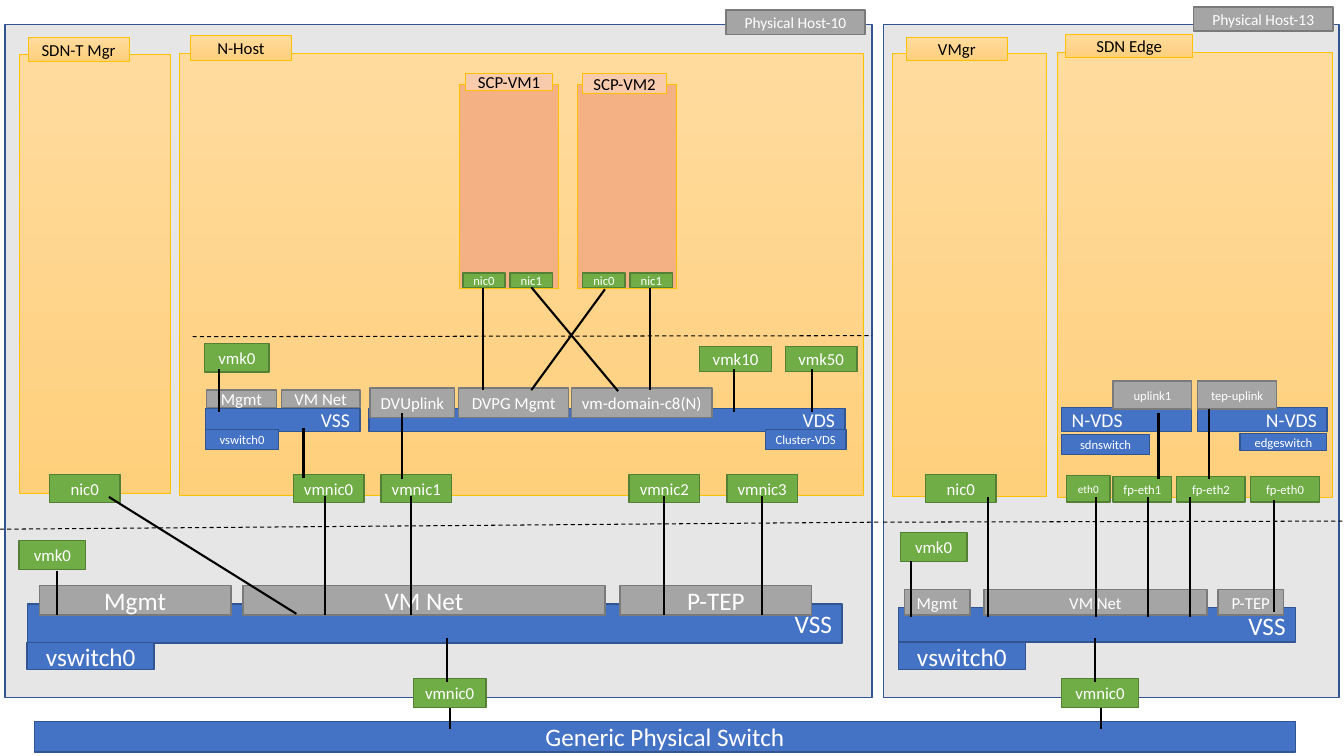
import pptx
import pptx.dml.color
import pptx.enum.dml
import pptx.enum.shapes
import pptx.enum.text
import pptx.oxml.ns
import pptx.util
from lxml import etree

WIDTH, HEIGHT = pptx.util.Inches(13.33), pptx.util.Inches(7.5)
COLUMN, ROW = WIDTH / 133.3, HEIGHT / 75  # fine grid of 133.3 columns by 75 rows

COLORS = {
    "switch": "4472C4", "switch_edge": "325491",
    "host": "E7E6E6",
    "port": "70AD47", "port_edge": "538035",
    "group": "A5A5A5", "group_edge": "7A7A7A",
    "panel_top": "FFDB9E", "panel_bottom": "FFD07C", "panel_edge": "FFC000",
    "machine": "F4B183", "machine_label": "F8CBAD",
    "light": "FFFFFF", "dark": "000000",
}

# kind: fill (two names make a gradient), edge, edge width, text colour
PANEL_FILL = ("panel_top", "panel_bottom")
STYLES = {
    "switch": (("switch",), "switch_edge", 1, "light"),
    "host": (("host",), "switch_edge", 1, "dark"),
    "port": (("port",), "port_edge", 1, "light"),
    "group": (("group",), "group_edge", 1, "light"),
    "panel": (PANEL_FILL, "panel_edge", 0.5, "dark"),
    "machine": (("machine",), "panel_edge", 0.5, "dark"),
    "machine_label": (("machine_label",), "panel_edge", 0.5, "dark"),
}
LEFT = pptx.enum.text.PP_ALIGN.LEFT
CENTER = pptx.enum.text.PP_ALIGN.CENTER
RIGHT = pptx.enum.text.PP_ALIGN.RIGHT


def color(name):
    return pptx.dml.color.RGBColor.from_string(COLORS[name])


def grid(column, row):
    return round(column * COLUMN), round(row * ROW)


def write(shape, text, size, color_name, align):
    frame = shape.text_frame
    frame.text = text
    frame.word_wrap = True
    frame.vertical_anchor = pptx.enum.text.MSO_ANCHOR.MIDDLE
    frame.margin_top = frame.margin_bottom = 0
    frame.margin_left = frame.margin_right = 0 if align == CENTER else round(COLUMN)
    paragraph = frame.paragraphs[0]
    paragraph.alignment = align
    font = paragraph.runs[0].font
    font.name, font.size = "Calibri", pptx.util.Pt(size)
    font.color.rgb = color(color_name)


def box(slide, kind, left, top, width, height, text="", size=12, align=CENTER):
    fill_names, edge, edge_width, text_color = STYLES[kind]
    shape = slide.shapes.add_shape(
        pptx.enum.shapes.MSO_SHAPE.RECTANGLE, *grid(left, top), *grid(width, height))
    shape.shadow.inherit = False
    if len(fill_names) == 1:
        shape.fill.solid()
        shape.fill.fore_color.rgb = color(fill_names[0])
    else:
        shape.fill.gradient()
        shape.fill.gradient_angle = 270
        for stop, name in zip(shape.fill.gradient_stops, fill_names):
            stop.color.rgb = color(name)
    shape.line.color.rgb = color(edge)
    shape.line.width = pptx.util.Pt(edge_width)
    if text:
        write(shape, text, size, text_color, align)


def box_row(slide, kind, top, height, size, items):
    """Boxes side by side, each given as left, width and text."""
    for left, width, text in items:
        box(slide, kind, left, top, width, height, text, size)


def wire(slide, start, end, dashed=False):
    connector = slide.shapes.add_connector(
        pptx.enum.shapes.MSO_CONNECTOR.STRAIGHT, *grid(*start), *grid(*end))
    connector.line.color.rgb = color("dark")
    connector.line.width = pptx.util.Pt(0.75 if dashed else 1.5)
    if dashed:
        connector.line.dash_style = pptx.enum.dml.MSO_LINE.DASH
    etree.SubElement(connector._element.spPr, pptx.oxml.ns.qn("a:effectLst"))


def drops(slide, top, bottom, columns):
    """Vertical wires sharing their top and bottom rows."""
    for column in columns:
        wire(slide, (column, top), (column, bottom))


def machine(slide, left, label_left, label_width, label_height, nic_left, name):
    box(slide, "machine", left, 8.4, 9.8, 20.2)
    box(slide, "machine_label", label_left, 7.3, label_width, label_height, name)
    for index in range(2):
        box(slide, "port", nic_left + index * 4.7, 27.1, 4.2, 1.4, f"nic{index}", 9)


def hosts(slide):
    box(slide, "switch", 3.4, 71.6, 125.1, 3, "Generic Physical Switch", 18)
    for left, width in ((0.5, 86), (87.6, 45.2)):
        box(slide, "host", left, 2.4, width, 66.8)
    box(slide, "group", 72, 1, 13.8, 2.4, "Physical Host-10", 11)
    box(slide, "group", 118.4, 0.7, 13.8, 2.4, "Physical Host-13", 11)


def host_switches(slide):
    box(slide, "port", 1.9, 53.6, 6.6, 2.9, "vmk0")
    box(slide, "port", 89.3, 52.8, 6.6, 2.9, "vmk0")
    box(slide, "switch", 2.7, 59.9, 80.8, 3.9, "VSS", 18, RIGHT)
    box(slide, "switch", 89.1, 60.3, 39.4, 3.4, "VSS", 18, RIGHT)
    box_row(slide, "group", 58.1, 2.9, 18,
            [(3.9, 19, "Mgmt"), (24.1, 35.9, "VM Net"), (61.5, 19, "P-TEP")])
    box_row(slide, "group", 58.5, 2.5, 12,
            [(89.7, 6.5, "Mgmt"), (97.6, 22.1, "VM Net"), (120.8, 6.5, "P-TEP")])
    box_row(slide, "switch", 63.75, 2.7, 18,
            [(2.7, 12.6, "vswitch0"), (89.1, 12.6, "vswitch0")])
    box_row(slide, "port", 67.3, 2.9, 12,
            [(41, 7.2, "vmnic0"), (105.3, 7.6, "vmnic0")])


def panels(slide):
    # panel left, top, width, height; then label left, top, width, height
    for body, label, name in (
            ((1.9, 5.4, 15, 43.5), (2.8, 3.7, 10, 2.4), "SDN-T Mgr"),
            ((17.8, 5.3, 67.8, 43.8), (18.9, 3.5, 10, 2.5), "N-Host"),
            ((88.5, 5.3, 15.3, 43.9), (89.9, 3.7, 10, 2.3), "VMgr"),
            ((104.9, 5.2, 27.2, 44.1), (105.7, 3.4, 12.6, 2.3), "SDN Edge")):
        box(slide, "panel", *body)
        box(slide, "panel", *label, name)


def nested_host(slide):
    machine(slide, 45.6, 46.2, 8.6, 1.7, 45.9, "SCP-VM1")
    machine(slide, 57.3, 57.8, 8.3, 2, 57.8, "SCP-VM2")
    box(slide, "port", 20.3, 34.1, 6.4, 2.8, "vmk0")
    box_row(slide, "port", 34.35, 2.5, 12, [(69.4, 7.1, "vmk10"), (77.9, 7.1, "vmk50")])
    box(slide, "switch", 20.4, 40.5, 15.3, 2.3, "VSS", 14, RIGHT)
    box(slide, "switch", 36.6, 40.5, 47.2, 2.3, "VDS", 14, RIGHT)
    box_row(slide, "group", 38.7, 1.75, 12, [(20.5, 6.9, "Mgmt"), (27.9, 7.8, "VM Net")])
    box_row(slide, "group", 38.5, 2.95, 12,
            [(36.7, 8.4, "DVUplink"), (45.5, 10.9, "DVPG Mgmt"),
             (56.7, 13.9, "vm-domain-c8(N)")])
    box_row(slide, "switch", 42.6, 2, 9, [(20.4, 7.2, "vswitch0"), (75.9, 8, "Cluster-VDS")])


def edge_node(slide):
    box(slide, "switch", 105.3, 40.4, 12.9, 2.4, "N-VDS", 14, LEFT)
    box(slide, "switch", 118.8, 40.4, 12.8, 2.4, "N-VDS", 14, RIGHT)
    box(slide, "switch", 105.3, 43.1, 8.7, 2, "sdnswitch", 9)
    box(slide, "switch", 123, 43, 8.6, 1.7, "edgeswitch", 9)
    box_row(slide, "group", 37.8, 2.8, 9, [(110.4, 7.8, "uplink1"), (118.8, 7.8, "tep-uplink")])
    box(slide, "port", 105.8, 47.2, 4.3, 2.6, "eth0", 8)
    box_row(slide, "port", 47.3, 2.5, 9,
            [(110.4, 5.8, "fp-eth1"), (116.7, 6.8, "fp-eth2"), (124, 6.9, "fp-eth0")])


def panel_ports(slide):
    box_row(slide, "port", 47.05, 2.8, 12,
            [(4.9, 7, "nic0"), (29.1, 7, "vmnic0"), (37.8, 7, "vmnic1"),
             (62.4, 7, "vmnic2"), (72.1, 7, "vmnic3"), (91.8, 7, "nic0")])


def wiring(slide):
    # Dashed level lines
    for start, end in (((0, 52.5), (87.4, 51.8)), ((87.6, 51.8), (133.3, 51.7)),
                       ((19.1, 33.4), (86.5, 33.3))):
        wire(slide, start, end, dashed=True)
    # Machines to port groups
    drops(slide, 28.6, 38.7, (47.9, 64.5))
    wire(slide, (52.7, 28.5), (61.3, 38.8))
    wire(slide, (60, 28.7), (52.7, 38.7))
    # Nested switches
    drops(slide, 36.6, 40.9, (21.7, 72.8, 80.5))
    drops(slide, 42.5, 47.4, (30.1,))
    drops(slide, 41, 47.5, (39.9, 114.9))
    drops(slide, 40.6, 47.5, (119.9,))
    # Panel ports to host switches
    drops(slide, 49.2, 61, (32.2, 40.8, 65.9, 75.6))
    drops(slide, 49.3, 61.2, (98, 108.7, 113.9, 118))
    drops(slide, 49.6, 60.7, (126.4,))
    wire(slide, (10.8, 49.3), (29.4, 60.9))
    drops(slide, 56.6, 61, (5.7,))
    drops(slide, 55.7, 61.2, (90.4,))
    # Hosts to physical switch
    drops(slide, 63.3, 67.7, (44.3, 108.6))
    drops(slide, 70.2, 72.3, (44.6, 109.2))


def main():
    presentation = pptx.Presentation()
    presentation.slide_width, presentation.slide_height = WIDTH, HEIGHT
    slide = presentation.slides.add_slide(presentation.slide_layouts[6])
    for draw in (hosts, host_switches, panels, nested_host, edge_node,
                 panel_ports, wiring):
        draw(slide)
    presentation.save("out.pptx")


main()
